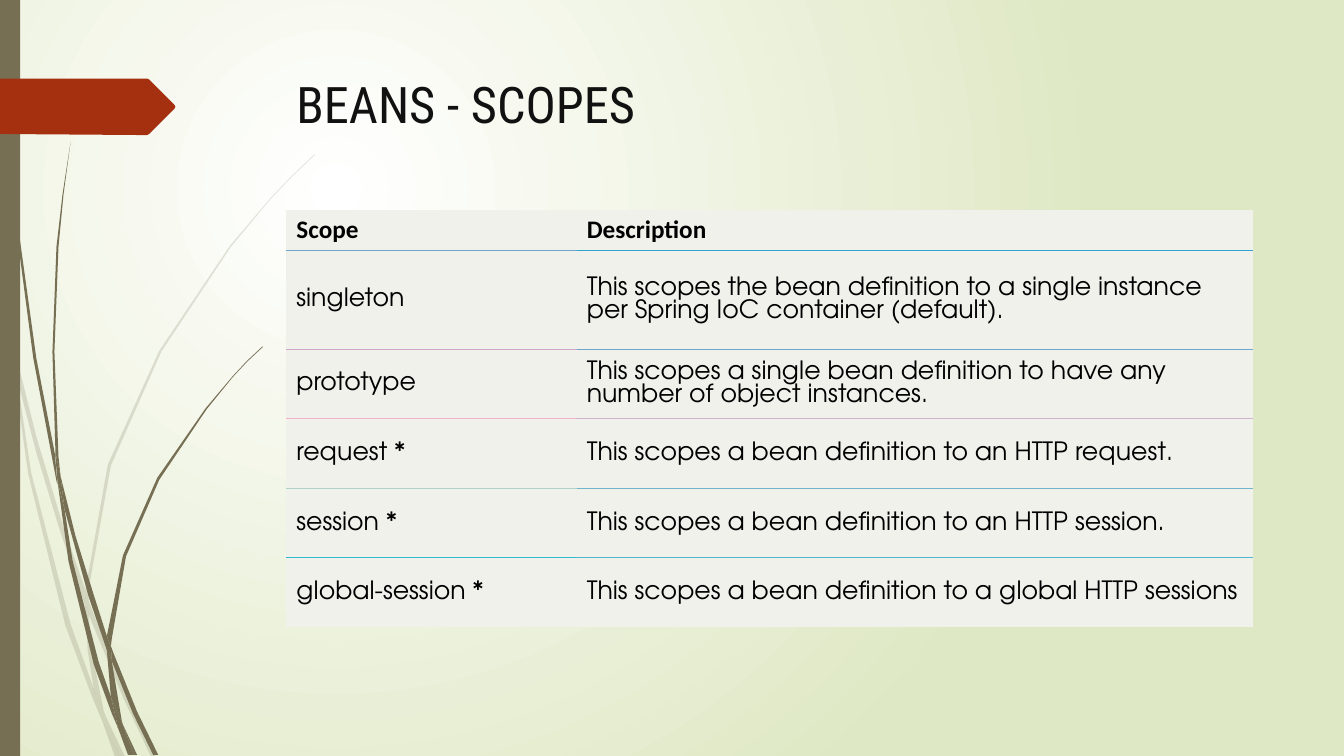
from lxml.etree import SubElement
from pptx import Presentation
from pptx.dml.color import RGBColor
from pptx.enum.shapes import MSO_SHAPE
from pptx.enum.text import MSO_ANCHOR, PP_ALIGN
from pptx.oxml.ns import qn
from pptx.util import Pt

PX = 9144  # EMU in one px, a hundredth of an inch
W, H = 1333, 750
COLORS = {"white": "FFFFFF", "leaf": "DFE8C4", "olive": "766F54", "rust": "A53010",
          "title": "111111", "text": "000000", "cell": "F0F1EB"}
TITLE_FONT, HEAD_FONT, BODY_FONT = "Roboto Condensed", "Calibri", "TeX Gyre Adventor"

# Corner points of each blade part, in px.
PALE_BLADES = [
    "11,350 9,322 0,282 0,299 10,344",
    "58,522 84,599 85,586 62,520 36,433 14,345 17,376 36,449",
    "92,607 88,596 88,610 123,694 150,751 155,751 127,692",
    "119,751 124,751 105,711",
    "93,683 70,619 31,469 17,376 11,350 28,470 65,621 92,693 101,714 99,707",
    "84,599 87,646 93,683 96,692 105,711 103,706 91,646 88,610 88,608",
    "88,584 110,462 160,349 229,245 268,198 290,175 312,154 312,153 289,175 268,197 228,244 158,348 "
    "107,461 85,584 85,586 88,596",
    "101,714 114,751 119,751",
    "88,608 88,610 88,596 85,586 84,599",
    "96,692 93,683 99,707 101,714 119,751 105,711",
]
DARK_BLADES = [
    "7,110 17,233 33,355 56,477 57,481 55,457 55,453 36,355 19,232 8,109 5,48 4,0 3,0 4,48",
    "88,592 106,645 106,633 106,631 93,590 75,532 60,472 64,505",
    "113,649 110,641 111,656 132,708 152,749 157,749 136,706",
    "110,691 98,657 72,556 64,505 57,477 68,557 93,659 111,708 117,722 116,717",
    "60,472 58,453 54,349 58,245 63,193 70,141 62,193 56,245 52,349 55,449",
    "133,749 136,749 122,719",
    "57,477 64,505 60,472 55,449 55,453",
    "111,633 125,552 158,476 205,406 231,374 245,359 261,344 260,344 245,358 231,373 204,405 156,474 "
    "122,551 106,631 110,641",
    "117,722 127,749 131,749",
    "106,645 110,691 116,706 122,719 121,716 111,656 109,651",
    "106,645 109,651 111,656 110,641 106,631 106,633",
    "116,706 110,691 116,717 117,722 130,749 133,749 122,719",
]
RIBBON = "0,0 146,0 148,1 173,26 174,28 173,30 148,55 146,56 136,56 0,55"

ROWS = [("Scope", "Description"),
        ("singleton", "This scopes the bean definition to a single instance per Spring IoC container (default)."),
        ("prototype", "This scopes a single bean definition to have any number of object instances."),
        ("request *", "This scopes a bean definition to an HTTP request."),
        ("session *", "This scopes a bean definition to an HTTP session."),
        ("global-session *", "This scopes a bean definition to a global HTTP sessions")]
RULES = [("70A6CC", "30A4CC"), ("D0A6CC", "70A7CC"), ("F0B1CC", "D0B2CC"),
         ("B0D2CC", "70B5CC"), ("30B8CC", "50B8CC")]  # colours of the lines below the rows
COL_WIDTHS = [288, 671]
ROW_HEIGHTS = [39, 98, 69, 69, 69, 69]


def rgb(name):
    return RGBColor.from_string(COLORS[name])


def paint(sp, color, alpha=100):
    sp.shadow.inherit = False
    sp.fill.solid()
    sp.fill.fore_color.rgb = rgb(color)
    sp.line.fill.background()
    if alpha < 100:
        clr = sp._element.spPr.find(".//" + qn("a:srgbClr"))
        SubElement(clr, qn("a:alpha"), val=str(alpha * 1000))


def add_outline(shapes, x, y, corners):
    points = [tuple(map(int, pair.split(","))) for pair in corners.split()]
    start, *rest = [(x + dx, y + dy) for dx, dy in points]
    builder = shapes.build_freeform(*start, scale=PX)
    builder.add_line_segments(rest, close=True)
    return builder.convert_to_shape()


def add_grass(slide, x, y, blades, alpha=100):
    group = slide.shapes.add_group_shape()
    for blade in blades:
        paint(add_outline(group.shapes, x, y, blade), "olive", alpha)


def set_background(slide):
    fill = slide.background.fill
    fill.gradient()
    for stop, color in zip(fill.gradient_stops, ("white", "leaf")):
        stop.color.rgb = rgb(color)
    grad = slide._element.find(".//" + qn("a:gradFill"))
    grad.remove(grad.find(qn("a:lin")))
    circle = SubElement(grad, qn("a:path"), path="circle")
    SubElement(circle, qn("a:fillToRect"), l="50000", t="50000", r="100000", b="100000")


def add_side_bar(slide, x, y, w, h):
    bar = slide.shapes.add_shape(MSO_SHAPE.RECTANGLE, x * PX, y * PX, w * PX, h * PX)
    paint(bar, "olive")


def write(tf, text, font, size, color, bold=False):
    p = tf.paragraphs[0]
    p.alignment = PP_ALIGN.LEFT
    r = p.add_run()
    r.text = text
    r.font.name, r.font.size, r.font.bold = font, Pt(size), bold
    r.font.color.rgb = rgb(color)


def set_title(slide, text, x, y, w, h):
    title = slide.shapes.title
    title.left, title.top, title.width, title.height = (v * PX for v in (x, y, w, h))
    title.text_frame.vertical_anchor = MSO_ANCHOR.TOP
    write(title.text_frame, text, TITLE_FONT, 36, "title")


def add_rule(cell, side, color):
    ln = SubElement(cell._tc.get_or_add_tcPr(), qn("a:" + side), w=str(Pt(0.75)))
    SubElement(SubElement(ln, qn("a:solidFill")), qn("a:srgbClr"), val=color)


def add_scope_table(slide, x, y, w, h):
    table = slide.shapes.add_table(len(ROWS), len(COL_WIDTHS), x * PX, y * PX, w * PX, h * PX).table
    table.first_row = table.horz_banding = False
    style = table._tbl.tblPr.find(qn("a:tableStyleId"))
    style.text = "{2D5ABB26-0587-4C30-8999-92F81FD0307C}"  # no style, no grid
    for col, width in zip(table.columns, COL_WIDTHS):
        col.width = width * PX
    for i, (row, height) in enumerate(zip(table.rows, ROW_HEIGHTS)):
        row.height = height * PX
        for j, cell in enumerate(row.cells):
            if i > 0:
                add_rule(cell, "lnT", RULES[i - 1][j])
            if i < len(RULES):
                add_rule(cell, "lnB", RULES[i][j])
            cell.fill.solid()
            cell.fill.fore_color.rgb = rgb("cell")
            cell.vertical_anchor = MSO_ANCHOR.MIDDLE
            cell.margin_left = cell.margin_right = 10 * PX
            cell.margin_top = cell.margin_bottom = 5 * PX
            write(cell.text_frame, ROWS[i][j], BODY_FONT if i else HEAD_FONT, 18, "text", bold=i == 0)


def main():
    prs = Presentation()
    prs.slide_width, prs.slide_height = W * PX, H * PX
    slide = prs.slides.add_slide(prs.slide_layouts[5])
    set_background(slide)
    add_grass(slide, 0, 0, PALE_BLADES, alpha=20)
    add_grass(slide, 0, 0, DARK_BLADES)
    add_side_bar(slide, 0, 0, 20, H)
    paint(add_outline(slide.shapes, 0, 78, RIBBON), "rust")
    set_title(slide, "BEANS - SCOPES", 284, 68, 975, 140)
    add_scope_table(slide, 284, 208, sum(COL_WIDTHS), sum(ROW_HEIGHTS))
    prs.save("out.pptx")


if __name__ == "__main__":
    main()
